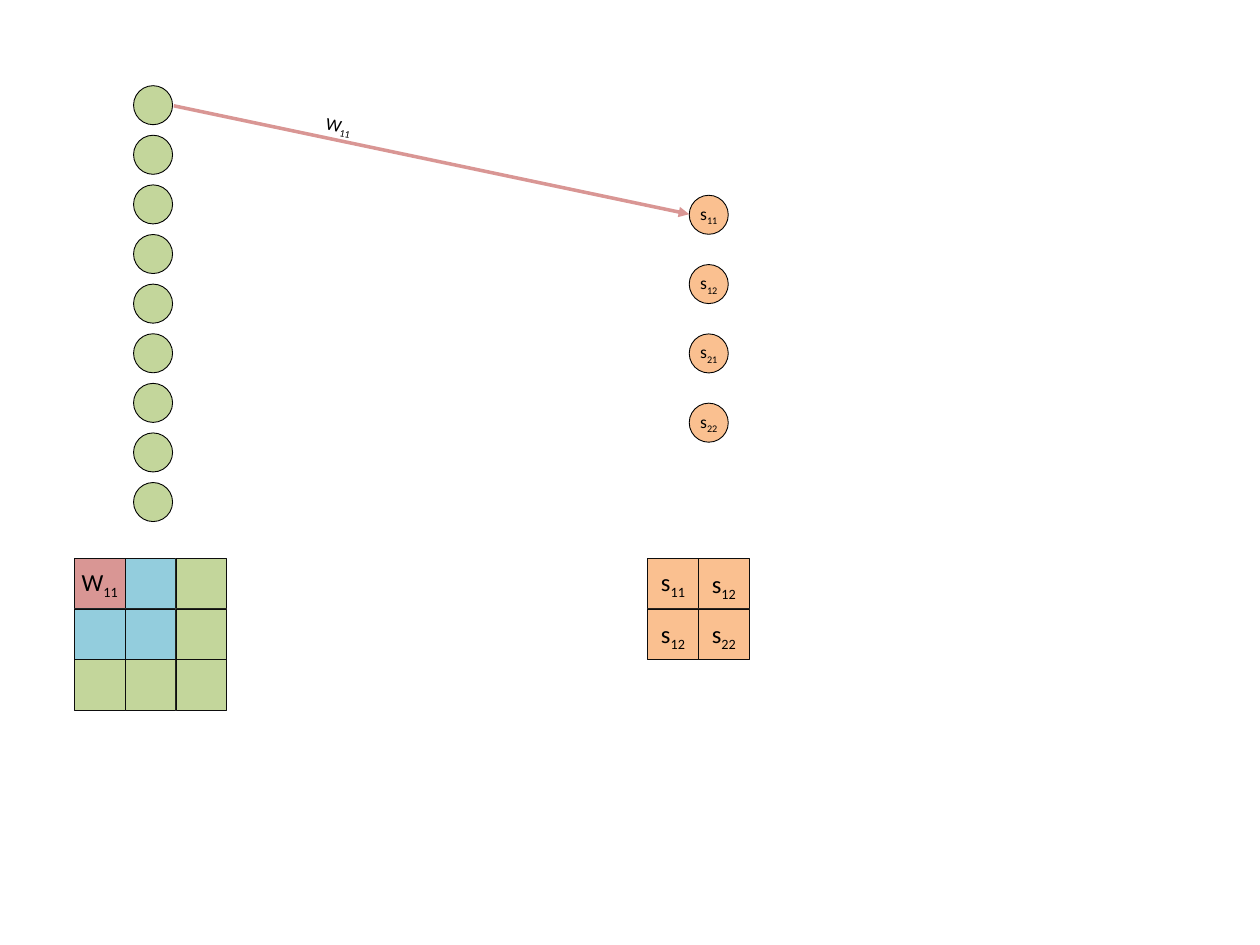
from pptx import Presentation
from pptx.dml.color import RGBColor
from pptx.enum.shapes import MSO_CONNECTOR, MSO_SHAPE
from pptx.enum.text import MSO_ANCHOR, PP_ALIGN
from pptx.oxml.ns import qn
from pptx.util import Inches, Pt
from lxml import etree

OVAL, RECT = MSO_SHAPE.OVAL, MSO_SHAPE.RECTANGLE
LINE, MID, MIDDLE = MSO_CONNECTOR.STRAIGHT, MSO_ANCHOR.MIDDLE, PP_ALIGN.CENTER
HUES = {"green": "C3D69B", "blue": "93CDDD", "red": "D99694",
        "peach": "FAC090", "ink": "000000", "edge": "0D0D0D"}
DOT = 0.31
CELL = 1.21 / 3
TOP = 4.43


class Board:
    """Draws styled nodes, grids, arrows and labels on one slide."""

    def __init__(self, slide, font="Calibri"):
        self.slide = slide
        self.font = font

    def hue(self, name):
        return RGBColor.from_string(HUES[name])

    def letter(self, frame, base, sub, size):
        para = frame.paragraphs[0]
        para.alignment = MIDDLE
        for text in (base, sub):
            run = para.add_run()
            run.text = text
            run.font.size = Pt(size)
            run.font.name = self.font
            run.font.color.rgb = self.hue("ink")
        run.font._element.set("baseline", "-25000")

    def shape(self, home, kind, x, y, side, fill, edge, text=None, size=10, drop=0):
        item = home.add_shape(kind, Inches(x), Inches(y), Inches(side), Inches(side))
        item.shadow.inherit = False
        item.fill.solid()
        item.fill.fore_color.rgb = self.hue(fill)
        item.line.color.rgb = self.hue(edge)
        item.line.width = Pt(0.5)
        if text:
            frame = item.text_frame
            frame.margin_left = frame.margin_right = frame.margin_bottom = 0
            frame.margin_top = Inches(drop)
            frame.vertical_anchor = MID
            self.letter(frame, *text, size)

    def nodes(self, x, y, step, fill, texts):
        for row, text in enumerate(texts):
            self.shape(self.slide.shapes, OVAL, x, y + row * step, DOT, fill, "ink", text)

    def grid(self, x, y, fills, texts):
        home = self.slide.shapes.add_group_shape().shapes
        for row, line in enumerate(fills):
            for col, fill in enumerate(line):
                text, drop = texts.get((row, col), (None, 0))
                self.shape(home, RECT, x + col * CELL, y + row * CELL, CELL,
                           fill, "edge", text, 14, drop)

    def arrow(self, start, end, color):
        item = self.slide.shapes.add_connector(LINE, *map(Inches, start + end))
        item.line.color.rgb = self.hue(color)
        item.line.width = Pt(2)
        etree.SubElement(item.line._get_or_add_ln(), qn("a:tailEnd"), type="triangle")
        etree.SubElement(item._element.spPr, qn("a:effectLst"))

    def label(self, x, y, wide, high, turn, text):
        box = self.slide.shapes.add_textbox(*map(Inches, (x, y, wide, high)))
        box.rotation = turn
        box.text_frame.word_wrap = True
        self.letter(box.text_frame, *text, 10)


def main():
    deck = Presentation()
    deck.slide_width, deck.slide_height = Inches(10), Inches(7.5)
    board = Board(deck.slides.add_slide(deck.slide_layouts[6]))

    board.nodes(1.06, 0.68, 3.15 / 8, "green", [None] * 9)
    board.grid(0.59, TOP, [("red", "blue", "green"),
                           ("blue", "blue", "green"),
                           ("green", "green", "green")],
               {(0, 0): (("W", "11"), 0)})

    board.nodes(5.47, 1.55, 0.55, "peach",
                [("s", sub) for sub in ("11", "12", "21", "22")])
    board.grid(5.14, TOP, [("peach", "peach")] * 2,
               {(0, 0): (("s", "11"), 0), (0, 1): (("s", "12"), 0.04),
                (1, 0): (("s", "12"), 0.02), (1, 1): (("s", "22"), 0.02)})

    board.arrow((1.38, 0.84), (5.47, 1.7), "red")
    board.label(2.18, 0.86, 1.02, 0.27, 12.2, ("W", "11"))
    deck.save("out.pptx")


if __name__ == "__main__":
    main()
